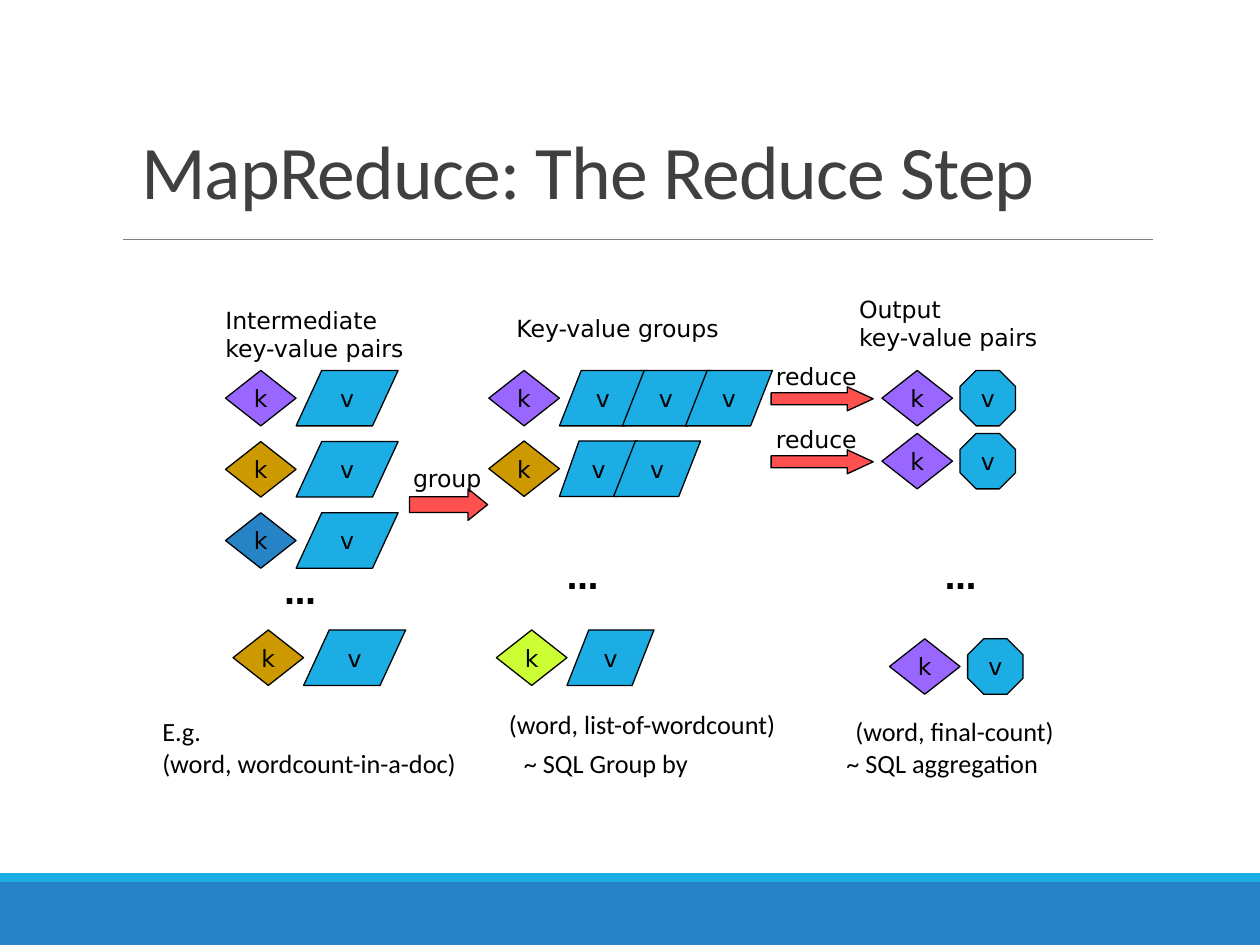
from lxml import etree
from pptx import Presentation
from pptx import util as u
from pptx.dml.color import RGBColor
from pptx.enum import shapes, text
from pptx.oxml import ns

BLACK = RGBColor(0x00, 0x00, 0x00)
TITLE_GREY = RGBColor(0x40, 0x40, 0x40)
RULE_GREY = RGBColor(0x80, 0x80, 0x80)
BLUE = RGBColor(0x26, 0x83, 0xC6)
CYAN = RGBColor(0x1C, 0xAD, 0xE4)
PURPLE = RGBColor(0x99, 0x66, 0xFF)
GOLD = RGBColor(0xCC, 0x99, 0x00)
LIME = RGBColor(0xCC, 0xFF, 0x33)
RED = RGBColor(0xFF, 0x50, 0x50)

SHAPE = shapes.MSO_SHAPE
DIAGRAM_FONT, NOTE_FONT = "DejaVu Sans", "Calibri"
KEY_WIDTH, TOKEN_HEIGHT = 0.56, 0.44
PAIR_WIDTH, GROUP_WIDTH = 0.81, 0.69
FIRST_ROW, LAST_ROW = 2.94, 5


class DiagramSlide:
    def __init__(self, slide):
        self.slide = slide

    def styled_run(self, paragraph, words, size=13.5, font=DIAGRAM_FONT, color=BLACK, bold=False):
        run = paragraph.add_run()
        run.text = words
        run.font.size = u.Pt(size)
        run.font.name = font
        run.font.color.rgb = color
        run.font.bold = bold
        return run

    def title(self, words, left, top, width, height):
        title = self.slide.shapes.title
        title.left, title.top = u.Inches(left), u.Inches(top)
        title.width, title.height = u.Inches(width), u.Inches(height)
        frame = title.text_frame
        frame.vertical_anchor = text.MSO_ANCHOR.BOTTOM
        frame.auto_size = text.MSO_AUTO_SIZE.NONE
        paragraph = frame.paragraphs[0]
        paragraph.alignment = text.PP_ALIGN.LEFT
        paragraph.line_spacing = 0.85
        run = self.styled_run(paragraph, words, 43.2, NOTE_FONT, TITLE_GREY)
        run.font._element.set("spc", "-50")

    def rule(self, left, right, y):
        line = self.slide.shapes.add_connector(
            shapes.MSO_CONNECTOR.STRAIGHT,
            u.Inches(left), u.Inches(y), u.Inches(right), u.Inches(y))
        line.line.color.rgb = RULE_GREY
        line.line.width = u.Pt(0.5)
        etree.SubElement(line._element.spPr, ns.qn("a:effectLst"))

    def shape(self, kind, left, top, width, height, fill, outlined=True, adjust=()):
        shape = self.slide.shapes.add_shape(
            kind, u.Inches(left), u.Inches(top), u.Inches(width), u.Inches(height))
        shape.shadow.inherit = False
        shape.fill.solid()
        shape.fill.fore_color.rgb = fill
        if outlined:
            shape.line.color.rgb = BLACK
            shape.line.width = u.Pt(0.75)
        else:
            shape.line.fill.background()
        for index, value in enumerate(adjust):
            shape.adjustments[index] = value
        return shape

    def token(self, kind, letter, left, top, width, fill, adjust=()):
        """Draw a key or value shape with its letter centred."""
        shape = self.shape(kind, left, top, width, TOKEN_HEIGHT, fill, adjust=adjust)
        frame = shape.text_frame
        frame.word_wrap = False
        frame.vertical_anchor = text.MSO_ANCHOR.MIDDLE
        frame.paragraphs[0].alignment = text.PP_ALIGN.CENTER
        self.styled_run(frame.paragraphs[0], letter)

    def key(self, left, top, fill):
        self.token(SHAPE.DIAMOND, "k", left, top, KEY_WIDTH, fill)

    def value(self, left, top, width):
        # The slant grows in proportion to the width.
        self.token(SHAPE.PARALLELOGRAM, "v", left, top, width, CYAN, [0.57 * width])

    def pair(self, left, top, fill, value_width):
        self.key(left, top, fill)
        self.value(left + KEY_WIDTH, top, value_width)

    def output_pair(self, left, top):
        self.key(left, top, PURPLE)
        self.token(SHAPE.OCTAGON, "v", left + 0.62, top, TOKEN_HEIGHT, CYAN, [0.29])

    def label(self, lines, left, top, width, height, wrap=False, **style):
        """Add one paragraph per line; a newline in a line is a line break."""
        box = self.slide.shapes.add_textbox(
            u.Inches(left), u.Inches(top), u.Inches(width), u.Inches(height))
        frame = box.text_frame
        frame.word_wrap = wrap
        frame.auto_size = text.MSO_AUTO_SIZE.SHAPE_TO_FIT_TEXT
        for index, line in enumerate(lines):
            paragraph = frame.add_paragraph() if index else frame.paragraphs[0]
            for part, words in enumerate(line.split("\n")):
                if part:
                    paragraph.add_line_break()
                self.styled_run(paragraph, words, **style)

    def step(self, name, arrow, caption, head):
        self.shape(SHAPE.RIGHT_ARROW, *arrow, RED, adjust=[0.5, head])
        self.label([name], *caption)

    def ellipsis(self, left, top):
        self.label(["…"], left, top, 0.47, 0.4, size=18, bold=True)

    def note(self, words, left, top, width, height=0.35):
        self.label([words], left, top, width, height, size=15, font=NOTE_FONT)


def main():
    deck = Presentation()
    deck.slide_width, deck.slide_height = u.Inches(10), u.Inches(7.5)
    page = DiagramSlide(deck.slides.add_slide(deck.slide_layouts[5]))

    page.shape(SHAPE.RECTANGLE, 0, 7, 10, 0.5, BLUE, outlined=False)
    page.shape(SHAPE.RECTANGLE, 0, 6.93, 10, 0.07, CYAN, outlined=False)
    page.rule(0.98, 9.15, 1.9)
    page.title("MapReduce: The Reduce Step", 1.02, 0.83, 7.83, 0.93)

    # Intermediate pairs
    page.label(["Intermediate", "key-value pairs"], 1.69, 2.38, 1.65, 0.56)
    for row, key_color in enumerate([PURPLE, GOLD, BLUE]):
        page.pair(1.79, FIRST_ROW + 0.565 * row, key_color, PAIR_WIDTH)
    page.ellipsis(2.16, 4.5)
    page.pair(1.85, LAST_ROW, GOLD, PAIR_WIDTH)
    page.step("group", (3.25, 3.88, 0.62, 0.25), (3.18, 3.63, 0.75, 0.33), 0.62)

    # Groups by key
    page.label(["Key-value groups"], 4, 2.44, 1.94, 0.33, wrap=True)
    page.pair(3.88, FIRST_ROW, PURPLE, GROUP_WIDTH)
    for left in (4.94, 5.44):
        page.value(left, FIRST_ROW, GROUP_WIDTH)
    page.pair(3.88, 3.5, GOLD, 0.62)
    page.value(4.87, 3.5, GROUP_WIDTH)
    page.ellipsis(4.4, 4.38)
    page.pair(3.94, LAST_ROW, LIME, GROUP_WIDTH)

    # Reduced output
    page.label(["Output", "key-value pairs"], 6.72, 2.29, 1.69, 0.56, wrap=True)
    for top in (FIRST_ROW, FIRST_ROW + 0.5):
        page.step("reduce", (6.12, top + 0.13, 0.81, 0.19),
                  (6.06, top - 0.12, 0.84, 0.33), 1.08)
        page.output_pair(7, top)
    page.ellipsis(7.4, 4.38)
    page.output_pair(7.06, 5.07)

    page.note("E.g. \n(word, wordcount-in-a-doc)", 1.19, 5.63, 2.56, 0.61)
    page.note("(word, list-of-wordcount)", 3.94, 5.57, 2.35)
    page.note("(word, final-count)", 6.69, 5.63, 1.79)
    page.note("~ SQL Group by", 4.06, 5.88, 1.51)
    page.note("~ SQL aggregation", 6.62, 5.88, 1.73)

    deck.save("out.pptx")


if __name__ == "__main__":
    main()
